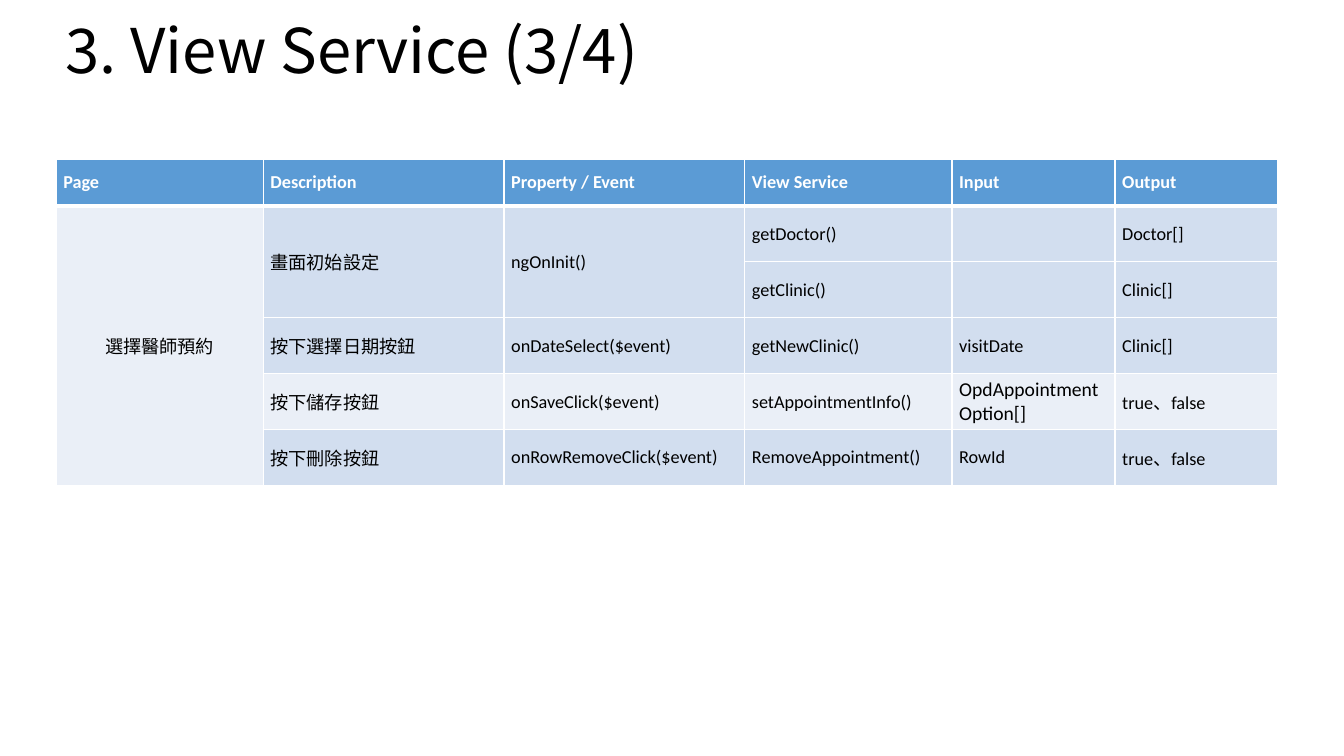
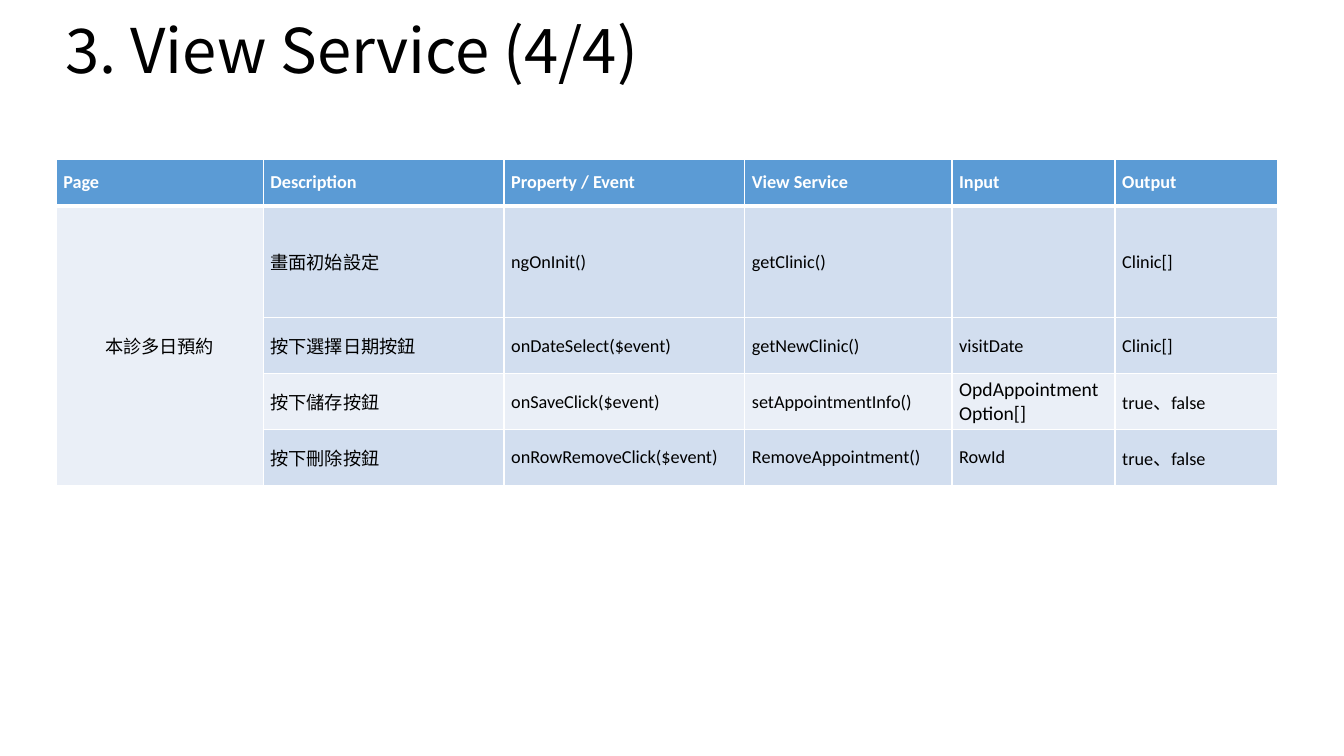
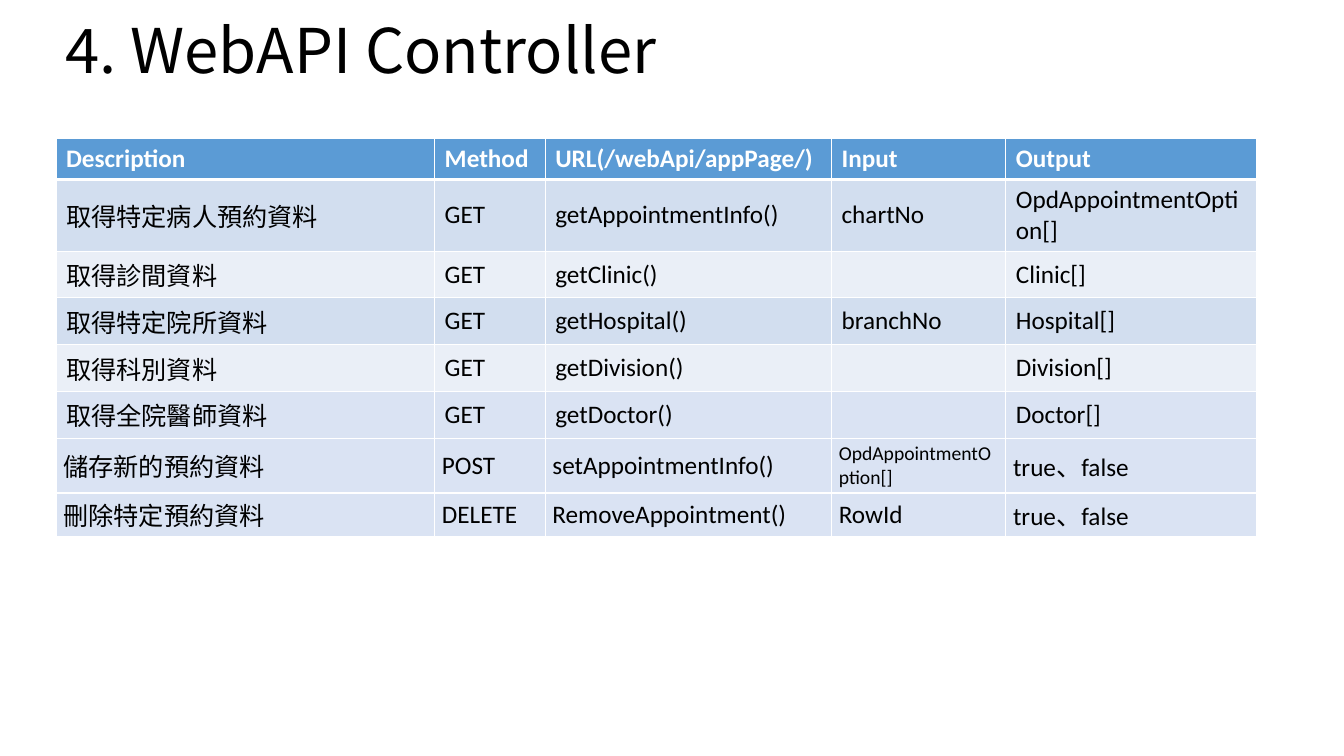
from lxml.etree import SubElement
from pptx import Presentation
from pptx.dml.color import RGBColor
from pptx.enum.text import MSO_ANCHOR as Anchor, MSO_AUTO_SIZE as AutoSize, PP_ALIGN as Align
from pptx.oxml.ns import qn
from pptx.util import Pt

WHITE, BLACK = "FFFFFF", "000000"
HEADER, DARK, LIGHT, PALE = "5B9BD5", "D2DEEF", "EAEFF7", "DAE3F3"
THIN, THICK = 1, 3
TIGHT, ROOMY = (5.2, 2.6), (7.2, 3.6)
TITLE_BOX = (39.6, 10, 876, 56)
TITLE_FORMAT = {"name": "Noto Sans CJK SC", "size": Pt(44)}

VIEW_BOX = (40, 114)
VIEW_WIDTHS = (148, 172, 172, 148, 116.5, 116.5)
VIEW_HEADINGS = ("Page", "Description", "Property / Event", "View Service", "Input", "Output")
EVENT_ROWS = [
    ("", "按下選擇日期按鈕", "onDateSelect($event)", "getNewClinic()", "visitDate", "Clinic[]"),
    ("", "按下儲存按鈕", "onSaveClick($event)", "setAppointmentInfo()", "OpdAppointmentOption[]", "true、false"),
    ("", "按下刪除按鈕", "onRowRemoveClick($event)", "RemoveAppointment()", "RowId", "true、false"),
]
EVENT_FILLS = (DARK, LIGHT, DARK)
DOCTOR_ROWS = [
    ("選擇醫師預約", "畫面初始設定", "ngOnInit()", "getDoctor()", "", "Doctor[]"),
    ("", "", "", "getClinic()", "", "Clinic[]"),
]
MULTIDAY_ROWS = [("本診多日預約", "畫面初始設定", "ngOnInit()", "getClinic()", "", "Clinic[]")]

API_BOX = (40, 99)
API_WIDTHS = (270.5, 79, 204.5, 124.5, 179)
API_HEIGHTS = (29, 50.4, 33.4, 33.4, 33.4, 33.4, 39.2, 31)
API_FILLS = (HEADER, DARK, LIGHT, DARK, LIGHT, PALE, PALE, PALE)
API_ROWS = [
    ("Description", "Method", "URL(/webApi/appPage/)", "Input", "Output"),
    ("取得特定病人預約資料", "GET", "getAppointmentInfo()", "chartNo", "OpdAppointmentOption[]"),
    ("取得診間資料", "GET", "getClinic()", "", "Clinic[]"),
    ("取得特定院所資料", "GET", "getHospital()", "branchNo", "Hospital[]"),
    ("取得科別資料", "GET", "getDivision()", "", "Division[]"),
    ("取得全院醫師資料", "GET", "getDoctor()", "", "Doctor[]"),
    ("儲存新的預約資料", "POST", "setAppointmentInfo()", "OpdAppointmentOption[]", "true、false"),
    ("刪除特定預約資料", "DELETE", "RemoveAppointment()", "RowId", "true、false"),
]


def color(value):
    """Turn a hex string into a colour."""
    return RGBColor.from_string(value)


def apply(target, formats):
    """Set every attribute in formats on target."""
    for name, value in formats.items():
        setattr(target, name, value)


def write(para, text, ink, formats):
    """Add one formatted span of text to a paragraph."""
    span = para.add_run()
    span.text = text
    apply(span.font, formats)
    span.font.color.rgb = color(ink)


def draw_title(page, text, box):
    """Place the slide title in the given box."""
    frame = page.shapes.add_textbox(*map(Pt, box)).text_frame
    apply(frame, {"word_wrap": True, "auto_size": AutoSize.NONE, "vertical_anchor": Anchor.MIDDLE})
    frame.paragraphs[0].line_spacing = 0.9
    write(frame.paragraphs[0], text, BLACK, TITLE_FORMAT)


def draw_borders(cell, row):
    """Give a cell white borders, thick between header and body."""
    properties = cell._tc.get_or_add_tcPr()
    widths = {"L": THIN, "R": THIN, "T": THICK if row == 1 else THIN, "B": THICK if row == 0 else THIN}
    for index, (side, width) in enumerate(widths.items()):
        line = SubElement(properties, qn(f"a:ln{side}"), w=str(Pt(width)))
        fill = SubElement(line, qn("a:solidFill"))
        SubElement(fill, qn("a:srgbClr"), val=WHITE)
        properties.insert(index, line)


def draw_table(page, corner, widths, heights, rows, fills, size, margins, special):
    """Draw a table at corner; special holds font overrides by cell."""
    box = (*corner, sum(widths), sum(heights))
    table = page.shapes.add_table(len(rows), len(widths), *map(Pt, box)).table
    table.horz_banding = False
    for column, width in zip(table.columns, widths):
        column.width = Pt(width)
    for row, (texts, height, fill, (side, edge)) in enumerate(zip(rows, heights, fills, margins)):
        table.rows[row].height = Pt(height)
        for column, text in enumerate(texts):
            cell = table.cell(row, column)
            apply(cell, {"vertical_anchor": Anchor.MIDDLE,
                         "margin_left": Pt(side), "margin_right": Pt(side),
                         "margin_top": Pt(edge), "margin_bottom": Pt(edge)})
            cell.fill.solid()
            cell.fill.fore_color.rgb = color(fill)
            draw_borders(cell, row)
            if text:
                formats = {"name": "Calibri", "size": Pt(size), "bold": row == 0}
                formats.update(special.get((row, column), {}))
                write(cell.text_frame.paragraphs[0], text, BLACK if row else WHITE, formats)
    return table


def view_slide(page, title, first_rows):
    """Build a view service slide whose first event fills 80 points."""
    count = len(first_rows)
    rows = [VIEW_HEADINGS, *first_rows, *EVENT_ROWS]
    heights = [33] + [80 / count] * count + [40] * len(EVENT_ROWS)
    fills = [HEADER] + [DARK] * count + list(EVENT_FILLS)
    draw_title(page, title, TITLE_BOX)
    table = draw_table(page, VIEW_BOX, VIEW_WIDTHS, heights, rows, fills, 13,
                       [TIGHT] * len(rows), {(count + 2, 4): {"size": Pt(14)}})
    page_cell = table.cell(1, 0)
    page_cell.merge(table.cell(len(rows) - 1, 0))
    page_cell.fill.fore_color.rgb = color(LIGHT)
    page_cell.text_frame.paragraphs[0].alignment = Align.CENTER
    if count > 1:
        for column in (1, 2):
            table.cell(1, column).merge(table.cell(count, column))


def api_slide(page, title):
    """Build the controller slide."""
    draw_title(page, title, TITLE_BOX)
    special = {(6, 0): {"name": "Arial"}, (7, 0): {"name": "Arial"}, (6, 3): {"size": Pt(14)}}
    draw_table(page, API_BOX, API_WIDTHS, API_HEIGHTS, API_ROWS, API_FILLS, 18,
               [ROOMY] * 6 + [TIGHT] * 2, special)


def main():
    """Build and save the deck."""
    deck = Presentation()
    apply(deck, {"slide_width": Pt(960), "slide_height": Pt(540)})
    pages = [deck.slides.add_slide(deck.slide_layouts[6]) for _ in range(3)]
    view_slide(pages[0], "3. View Service (3/4)", DOCTOR_ROWS)
    view_slide(pages[1], "3. View Service (4/4)", MULTIDAY_ROWS)
    api_slide(pages[2], "4. WebAPI Controller")
    deck.save("out.pptx")


if __name__ == "__main__":
    main()
